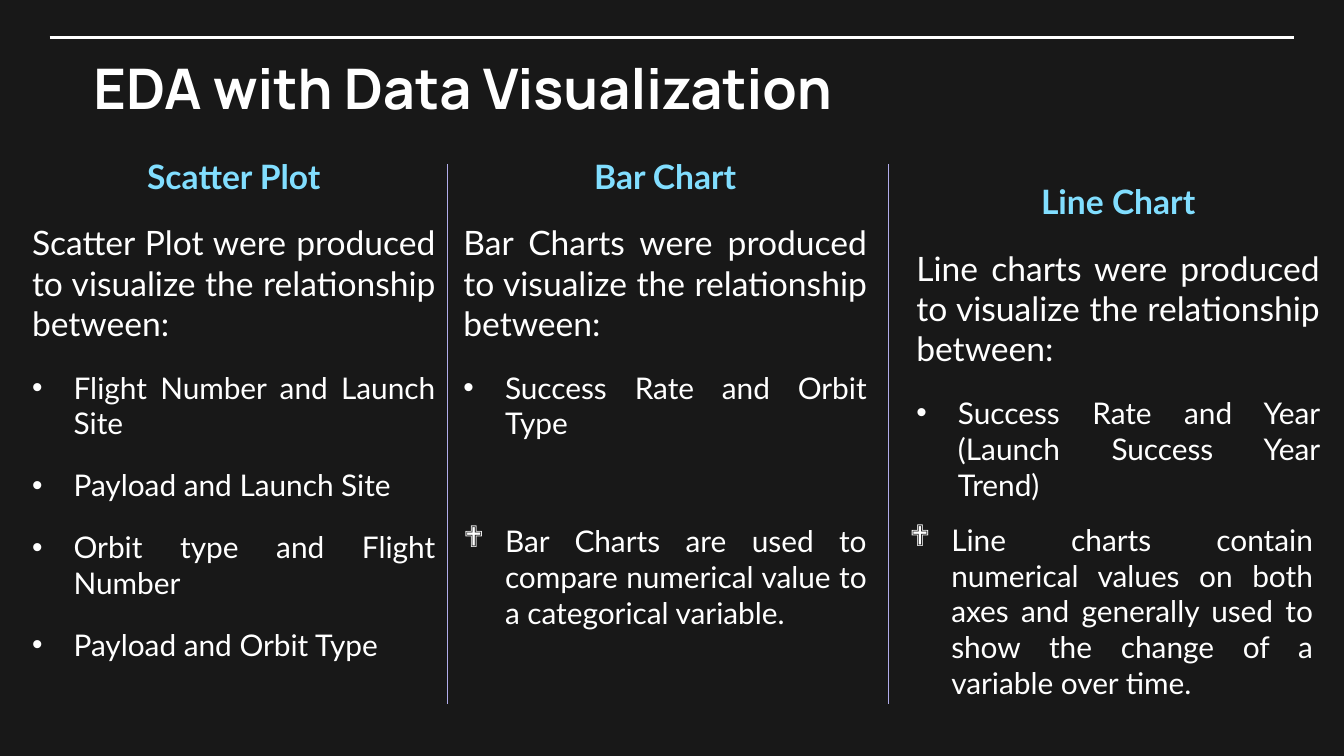
from lxml.etree import SubElement
from pptx import Presentation
from pptx.dml.color import RGBColor
from pptx.enum.shapes import MSO_CONNECTOR as Connector
from pptx.enum.text import MSO_ANCHOR as Anchor, PP_ALIGN as Align
from pptx.oxml.ns import qn
from pptx.util import Inches, Pt

BACKGROUND = RGBColor(0x18, 0x18, 0x18)
WHITE = RGBColor(0xFF, 0xFF, 0xFF)
CYAN = RGBColor(0x81, 0xDE, 0xFF)
LILAC = RGBColor(0xB1, 0xAC, 0xEA)

COLUMN_WIDTH = 3.2
INDENT = 0.31
BULLET_FONTS = {"•": "Arial", "❖": "Wingdings"}

CHARTS = [
    (0.14, 1.11, 3.64, "Scatter Plot",
     "Scatter Plot were produced to visualize the relationship between:",
     ["Flight Number and Launch Site", "Payload and Launch Site",
      "Orbit type and Flight Number", "Payload and Orbit Type"]),
    (3.35, 1.11, 1.97, "Bar Chart",
     "Bar Charts were produced to visualize the relationship between:",
     ["Success Rate and Orbit Type"]),
    (6.72, 1.3, 2.24, "Line Chart",
     "Line charts were produced to visualize the relationship between:",
     ["Success Rate and Year (Launch Success Year Trend)"]),
]
NOTES = [
    (3.35, 3.84, 0.91,
     "Bar Charts are used to compare numerical value to a categorical variable."),
    (6.67, 3.83, 1.45,
     "Line charts contain numerical values on both axes and generally used "
     "to show the change of a variable over time."),
]


def add_box(page, left, top, width, height):
    box = page.shapes.add_textbox(
        Inches(left), Inches(top), Inches(width), Inches(height))
    box.text_frame.word_wrap = True
    return box.text_frame


def add_bullet(para, symbol):
    properties = para._p.get_or_add_pPr()
    properties.set("marL", str(Inches(INDENT)))
    properties.set("indent", str(-Inches(INDENT)))
    color = SubElement(properties, qn("a:buClr"))
    SubElement(color, qn("a:srgbClr")).set("val", str(WHITE))
    SubElement(properties, qn("a:buFont")).set("typeface", BULLET_FONTS[symbol])
    SubElement(properties, qn("a:buChar")).set("char", symbol)


def add_text(frame, text, size, align=Align.JUSTIFY, color=WHITE,
             bold=False, font="Lato", bullet=None):
    if frame.paragraphs[0].runs:
        para = frame.add_paragraph()
        para.space_before = Pt(14)
    else:
        para = frame.paragraphs[0]
    if bullet:
        add_bullet(para, bullet)
    para.alignment = align
    span = para.add_run()
    span.text = text
    span.font.name = font
    span.font.size = Pt(size)
    span.font.bold = bold
    span.font.color.rgb = color


def add_line(page, start, end, color, weight):
    line = page.shapes.add_connector(
        Connector.STRAIGHT, *(Inches(value) for value in start + end))
    line.line.color.rgb = color
    line.line.width = Pt(weight)
    SubElement(line._element.spPr, qn("a:effectLst"))


def add_title(page, text):
    frame = add_box(page, 0.39, 0.25, 6.11, 0.8)
    frame.vertical_anchor = Anchor.MIDDLE
    add_text(frame, text, 30, Align.CENTER, bold=True, font="Manrope")


def add_chart_column(page, left, top, height, heading, intro, items):
    frame = add_box(page, left, top, COLUMN_WIDTH, height)
    add_text(frame, heading, 18, Align.CENTER, CYAN, bold=True)
    add_text(frame, intro, 18)
    for item in items:
        add_text(frame, item, 16, bullet="•")


def add_note(page, left, top, height, text):
    frame = add_box(page, left, top, COLUMN_WIDTH, height)
    add_text(frame, text, 16, bullet="❖")


def main():
    deck = Presentation()
    deck.slide_width = Inches(10)
    deck.slide_height = deck.slide_width * 9 // 16
    page = deck.slides.add_slide(deck.slide_layouts[6])
    page.background.fill.solid()
    page.background.fill.fore_color.rgb = BACKGROUND

    add_line(page, (0.37, 0.28), (9.63, 0.28), WHITE, 1.5)
    add_title(page, "EDA with Data Visualization")
    for chart in CHARTS:
        add_chart_column(page, *chart)
    for note in NOTES:
        add_note(page, *note)
    for x in (3.33, 6.61):
        add_line(page, (x, 1.22), (x, 5.24), LILAC, 0.75)

    deck.save("out.pptx")


if __name__ == "__main__":
    main()
